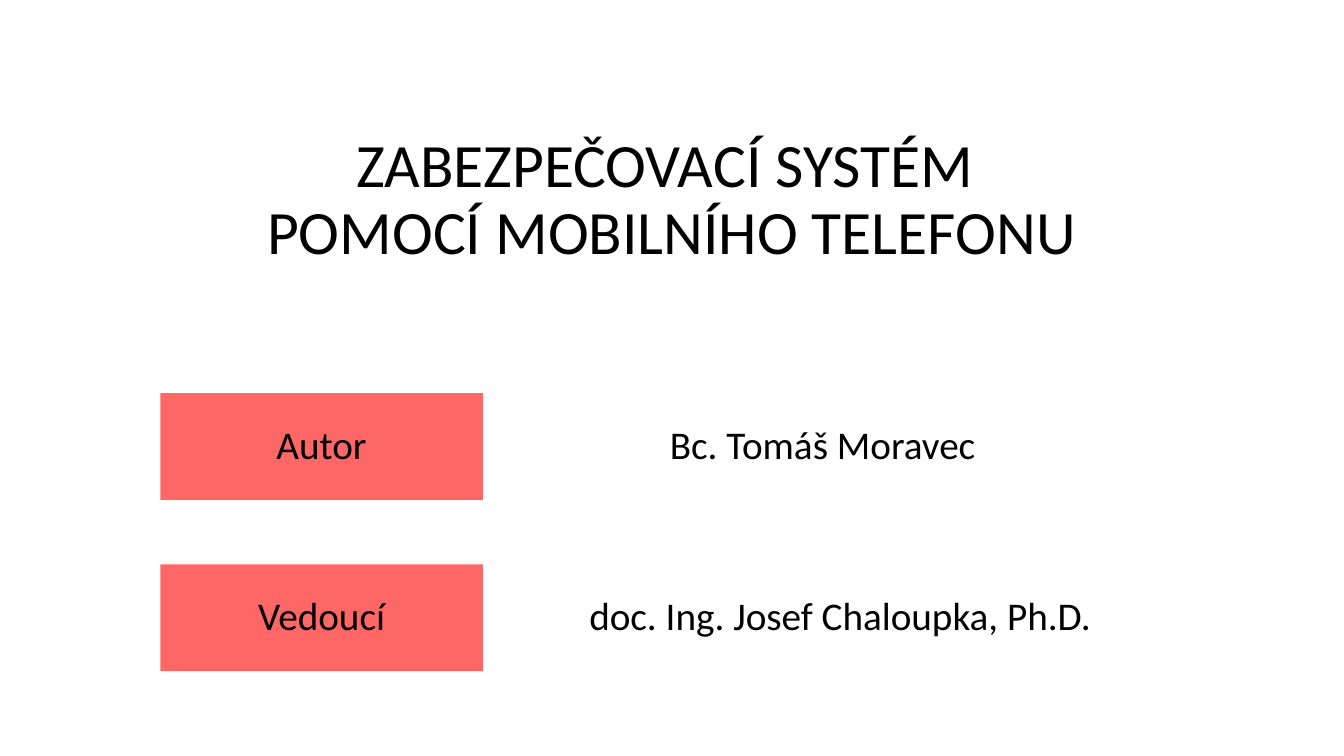
"""Build the title slide of a thesis defence with its author and supervisor."""
from dataclasses import dataclass

from lxml import etree
from pptx import Presentation
from pptx.dml.color import RGBColor
from pptx.enum import shapes, text
from pptx.oxml import ns
from pptx.slide import Slide
from pptx.util import Cm, Pt

SLIDE_WIDTH, SLIDE_HEIGHT = 33.87, 19.05
ROW_LEFT, FIRST_ROW_MIDDLE, ROW_PITCH = 4.04, 11.25, 4.32
STRIP_WIDTH, STRIP_HEIGHT = 25.81, 2.18
LABEL_WIDTH, LABEL_HEIGHT = 8.13, 2.69
WHITE, RED, BLACK = "FFFFFF", "FF0000", "000000"
OPACITY = "60000"


@dataclass
class Panel:
    wording: str
    left: float
    middle: float
    width: float
    height: float
    fill: str
    size: int = 28
    inset: float = 0.25


@dataclass
class Person:
    role: str
    name: str
    inset: float


PEOPLE = [
    Person("Autor", "Bc. Tomáš Moravec", 7.82),
    Person("Vedoucí", "doc. Ing. Josef Chaloupka, Ph.D.", 8.7),
]


def color(value: str) -> RGBColor:
    return RGBColor.from_string(value)


def apply(target: object, formats: dict[str, object]) -> None:
    for attribute, value in formats.items():
        setattr(target, attribute, value)


def draw_panel(slide: Slide, panel: Panel) -> None:
    box = slide.shapes.add_shape(
        shapes.MSO_SHAPE.RECTANGLE, Cm(panel.left), Cm(panel.middle - panel.height / 2),
        Cm(panel.width), Cm(panel.height))
    box.shadow.inherit = False
    box.line.fill.background()
    box.fill.solid()
    box.fill.fore_color.rgb = color(panel.fill)
    shade = box.fill._xPr.find(".//" + ns.qn("a:srgbClr"))
    etree.SubElement(shade, ns.qn("a:alpha"), val=OPACITY)

    frame = box.text_frame
    apply(frame, {"word_wrap": True, "vertical_anchor": text.MSO_ANCHOR.MIDDLE,
                  "margin_left": Cm(panel.inset)})
    paragraph = frame.paragraphs[0]
    paragraph.text = panel.wording
    apply(paragraph, {"alignment": text.PP_ALIGN.CENTER, "line_spacing": 0.9})
    apply(paragraph.font, {"name": "Calibri", "size": Pt(panel.size)})
    paragraph.font.color.rgb = color(BLACK)


def main() -> None:
    deck = Presentation()
    apply(deck, {"slide_width": Cm(SLIDE_WIDTH), "slide_height": Cm(SLIDE_HEIGHT)})
    slide = deck.slides.add_slide(deck.slide_layouts[6])

    draw_panel(slide, Panel("ZABEZPEČOVACÍ SYSTÉM \vPOMOCÍ MOBILNÍHO TELEFONU",
                            0, 5.07, SLIDE_WIDTH, 5.72, WHITE, size=44))
    for row, person in enumerate(PEOPLE):
        middle = FIRST_ROW_MIDDLE + row * ROW_PITCH
        draw_panel(slide, Panel(person.name, ROW_LEFT, middle, STRIP_WIDTH, STRIP_HEIGHT,
                                WHITE, inset=person.inset))
        draw_panel(slide, Panel(person.role, ROW_LEFT, middle, LABEL_WIDTH, LABEL_HEIGHT, RED))

    deck.save("out.pptx")


if __name__ == "__main__":
    main()
